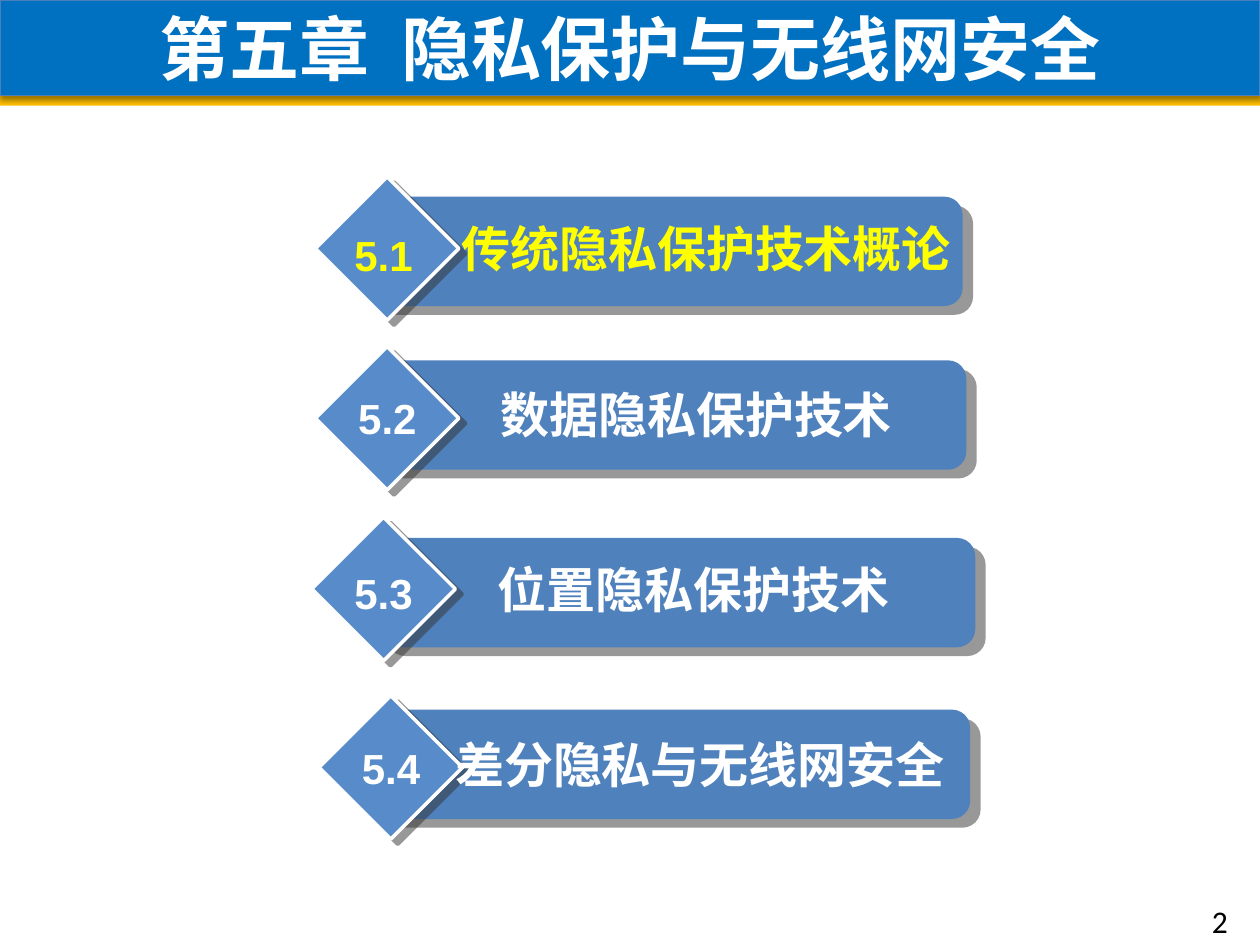
from lxml import etree
from pptx import Presentation
from pptx.dml.color import RGBColor
from pptx.enum.shapes import MSO_SHAPE
from pptx.enum.text import MSO_ANCHOR, MSO_AUTO_SIZE, PP_ALIGN
from pptx.oxml.ns import qn
from pptx.util import Pt

RECTANGLE = MSO_SHAPE.RECTANGLE
ROUNDED = MSO_SHAPE.ROUNDED_RECTANGLE
DIAMOND = MSO_SHAPE.DIAMOND
MIDDLE = MSO_ANCHOR.MIDDLE
TOP = MSO_ANCHOR.TOP
GROW = MSO_AUTO_SIZE.SHAPE_TO_FIT_TEXT
FIXED = MSO_AUTO_SIZE.NONE
CENTER = PP_ALIGN.CENTER
LEFT = PP_ALIGN.LEFT

WHITE = RGBColor(0xFF, 0xFF, 0xFF)
BLACK = RGBColor(0, 0, 0)
YELLOW = RGBColor(0xFF, 0xFF, 0)
GOLD = RGBColor(0xFF, 0xC0, 0)
TITLE_BLUE = RGBColor(0, 0x70, 0xC0)
TITLE_EDGE = RGBColor(0x4B, 0x7E, 0xBC)
BAR_BLUE = RGBColor(0x4F, 0x81, 0xBD)
DIAMOND_BLUE = RGBColor(0x57, 0x8B, 0xC9)
SHADOW_GREY = RGBColor(0x33, 0x33, 0x33)

CJK_FONT = "Noto Sans CJK SC"
BODY_FONT = "Calibri"
NUMBER_FONT = "Arial"

# Shadows: colour, opacity %, blur, distance, angle
TITLE_SHADOW = (BLACK, 38, 3.1, 1.6, 90)
BAR_SHADOW = (SHADOW_GREY, 50, 0, 7.8, 40)
DIAMOND_SHADOW = (SHADOW_GREY, 50, 0, 5, 37)

# Number, heading, colour, then left and top of bar, diamond, heading, number
CHAPTERS = [
    ("5.1", "传统隐私保护技术概论", YELLOW,
     (208.1, 112.4), (180.2, 101), (249.8, 121.2), (195.1, 127.7)),
    ("5.2", "数据隐私保护技术", WHITE,
     (210.2, 205.9), (180.2, 198), (244.1, 216), (197.3, 220.5)),
    ("5.3", "位置隐私保护技术", WHITE,
     (215.3, 307.4), (178.2, 295.5), (242.6, 316.1), (195.1, 320.6)),
    ("5.4", "差分隐私与无线网安全", WHITE,
     (212.4, 405.5), (182.3, 397.5), (246.2, 416.2), (199.4, 420.6)),
]
BAR_SIZE = (342, 62.5)
DIAMOND_SIZE = (82, 82)
HEADING_SIZE = (307.5, 41)
NUMBER_SIZE = (48.2, 36)


class SlideBuilder:
    def __init__(self, page):
        self.page = page
        self.shapes = page.shapes

    def start_group(self):
        self.shapes = self.page.shapes.add_group_shape().shapes

    def end_group(self):
        self.shapes = self.page.shapes

    def shape(self, kind, place, size, fill, line=None, width=0, shadow=None):
        shape = self.shapes.add_shape(kind, *map(Pt, place + size))
        shape.fill.solid()
        shape.fill.fore_color.rgb = fill
        if line is None:
            shape.line.fill.background()
        else:
            shape.line.color.rgb = line
            shape.line.width = Pt(width)
        shape.shadow.inherit = False
        if shadow:
            self.cast_shadow(shape, *shadow)
        return shape

    def cast_shadow(self, shape, color, opacity, blur, distance, angle):
        effects = shape.element.spPr.find(qn("a:effectLst"))
        outer = etree.SubElement(
            effects, qn("a:outerShdw"), blurRad=str(Pt(blur)),
            dist=str(Pt(distance)), dir=str(angle * 60000),
            algn="ctr", rotWithShape="0")
        tint = etree.SubElement(outer, qn("a:srgbClr"), val=str(color))
        etree.SubElement(tint, qn("a:alpha"), val=str(opacity * 1000))

    def add_span(self, shape, text, size, font, color, bold=True,
                 align=CENTER):
        para = shape.text_frame.paragraphs[0]
        para.alignment = align
        span = para.add_run()
        span.text = text
        span.font.size = Pt(size)
        span.font.name = font
        span.font.bold = bold
        span.font.color.rgb = color
        # Chinese characters take the East Asian typeface
        latin = next(shape.element.iter(qn("a:latin")))
        latin.addnext(etree.Element(qn("a:ea"), typeface=CJK_FONT))

    def text(self, place, extent, text, size, font, color, bold=True,
             align=CENTER, wrap=True, fit=GROW):
        box = self.shapes.add_textbox(*map(Pt, place + extent))
        box.text_frame.word_wrap = wrap
        box.text_frame.auto_size = fit
        box.text_frame.vertical_anchor = TOP
        self.add_span(box, text, size, font, color, bold, align)


def main():
    deck = Presentation()
    deck.slide_width, deck.slide_height = Pt(720), Pt(540)
    builder = SlideBuilder(deck.slides.add_slide(deck.slide_layouts[6]))

    # Title band
    builder.shape(RECTANGLE, (0, 54.6), (720, 5.8), GOLD)
    title = builder.shape(RECTANGLE, (0, 0), (720, 54.6), TITLE_BLUE,
                          TITLE_EDGE, 0.75, TITLE_SHADOW)
    title.text_frame.vertical_anchor = MIDDLE
    builder.add_span(title, "第五章  隐私保护与无线网安全", 40, CJK_FONT, WHITE)

    # Chapter list
    for number, heading, color, bar, diamond, label, digits in CHAPTERS:
        builder.start_group()
        builder.shape(ROUNDED, bar, BAR_SIZE, BAR_BLUE, shadow=BAR_SHADOW)
        builder.shape(DIAMOND, diamond, DIAMOND_SIZE, DIAMOND_BLUE,
                      WHITE, 2, DIAMOND_SHADOW)
        builder.text(label, HEADING_SIZE, heading, 28, BODY_FONT, color)
        builder.text(digits, NUMBER_SIZE, number, 24, NUMBER_FONT, color,
                     wrap=False)
    builder.end_group()

    # Page number
    builder.text((685.4, 512), (34, 28), "2", 18, BODY_FONT, BLACK,
                 bold=False, align=LEFT, fit=FIXED)

    deck.save("out.pptx")


if __name__ == "__main__":
    main()
